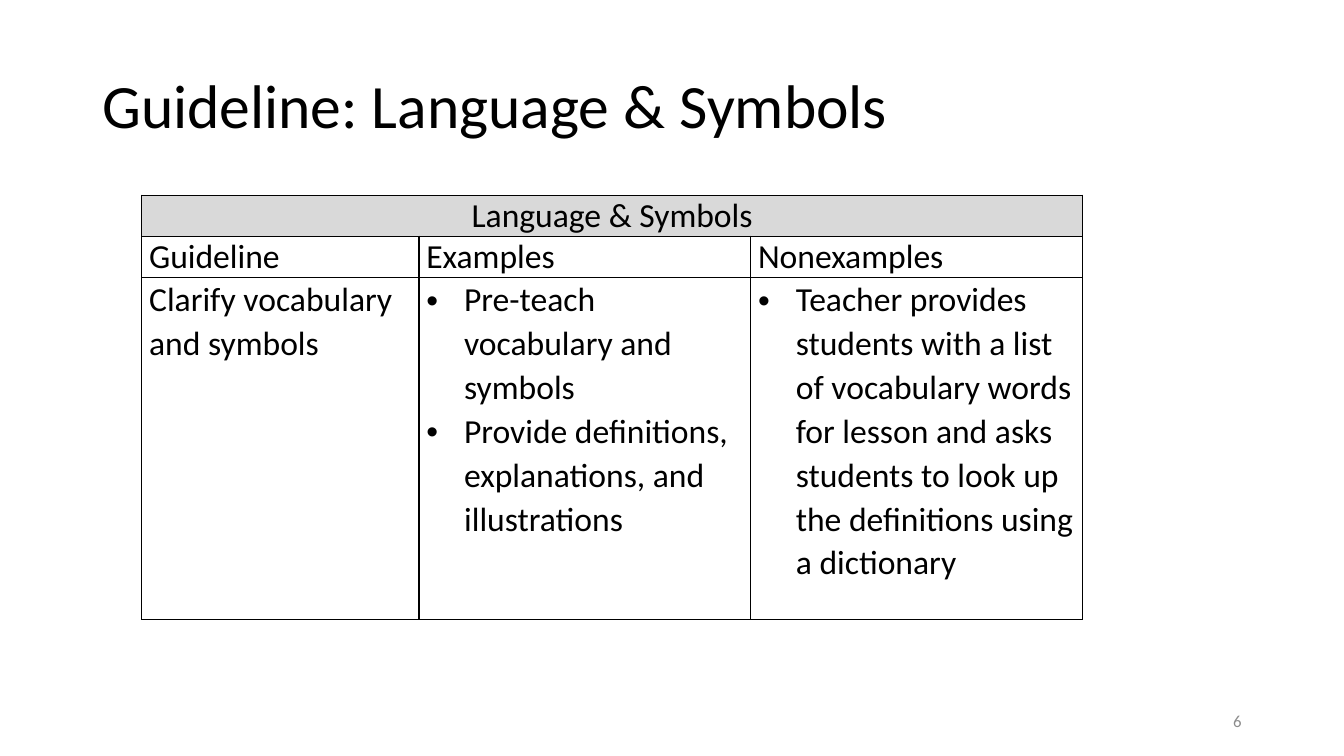
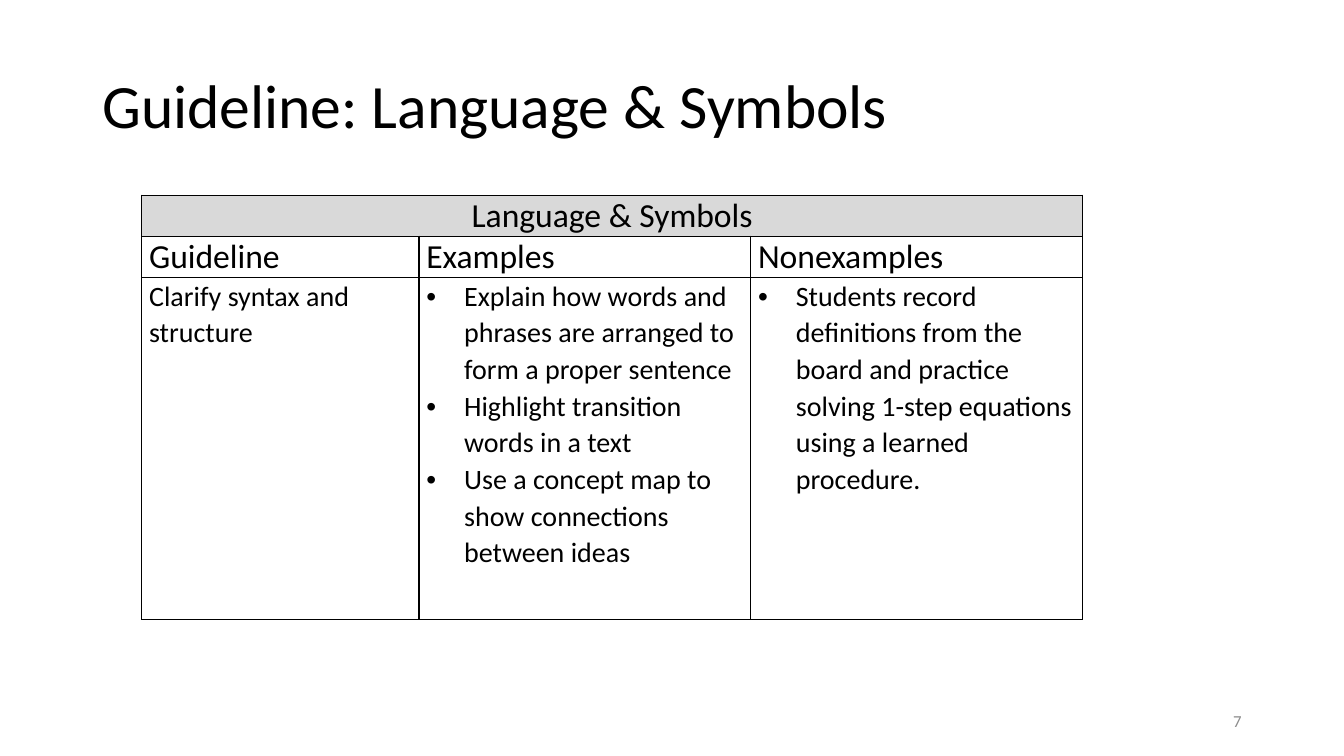
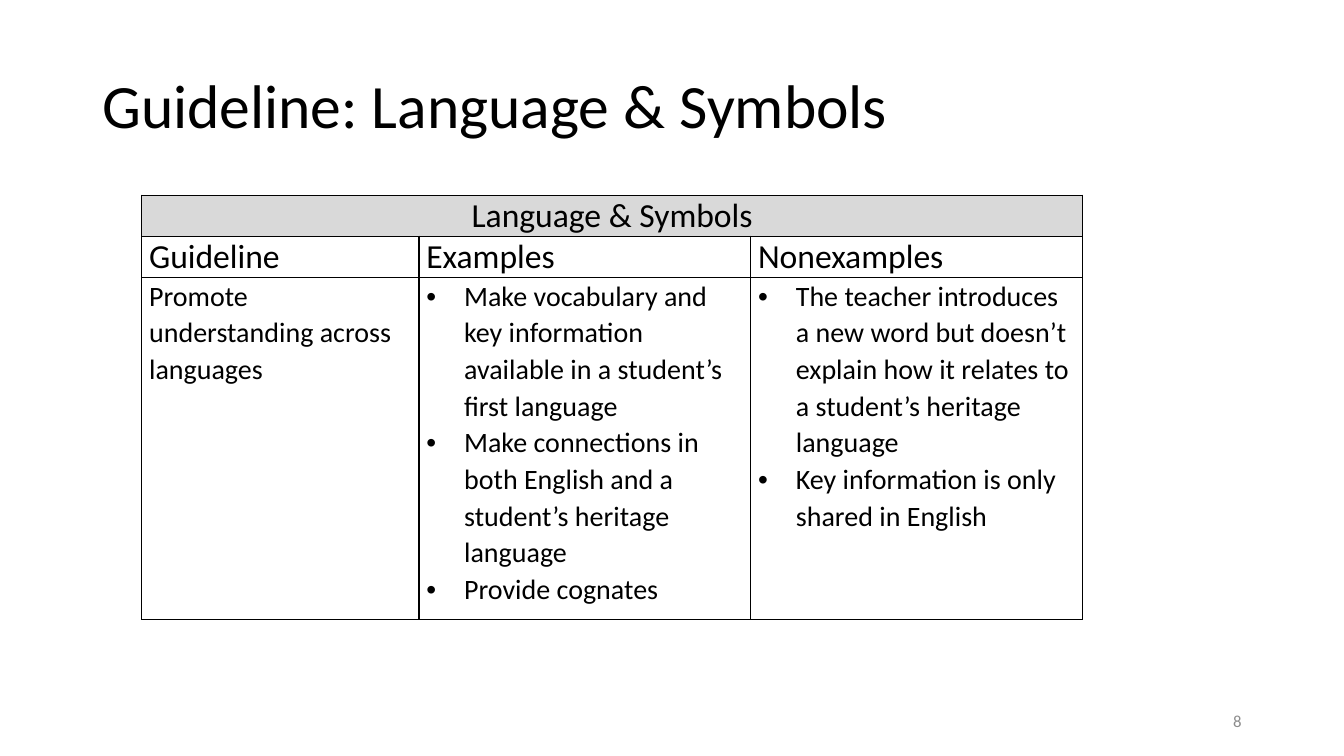
import pptx
import pptx.util
import pptx.dml.color
import pptx.enum.text
import pptx.oxml
import pptx.oxml.ns

PX = 9525
SLIDE_SIZE = (1280, 720)
FIRST_NUMBER = 6
TITLE = "Guideline: Language & Symbols"
BAND = "Language & Symbols"
HEADINGS = ["Guideline", "Examples", "Nonexamples"]

GUIDELINES = [
    {
        "size": "large",
        "guideline": "Clarify vocabulary and symbols",
        "examples": [
            "Pre-teach vocabulary and symbols",
            "Provide definitions, explanations, and illustrations",
        ],
        "nonexamples": [
            "Teacher provides students with a list of vocabulary words for lesson "
            "and asks students to look up the definitions using a dictionary",
        ],
    },
    {
        "size": "body",
        "guideline": "Clarify syntax and structure",
        "examples": [
            "Explain how words and phrases are arranged to form a proper sentence",
            "Highlight transition words in a text",
            "Use a concept map to show connections between ideas",
        ],
        "nonexamples": [
            "Students record definitions from the board and practice solving "
            "1-step equations using a learned procedure.",
        ],
    },
    {
        "size": "body",
        "guideline": "Promote understanding across languages",
        "examples": [
            "Make vocabulary and key information available in a student’s first language",
            "Make connections in both English and a student’s heritage language",
            "Provide cognates",
        ],
        "nonexamples": [
            "The teacher introduces a new word but doesn’t explain how it relates "
            "to a student’s heritage language",
            "Key information is only shared in English",
        ],
    },
]

THEME = {
    "font": "Calibri",
    "ink": "000000",
    "muted": "8C8C8C",
    "band": "D9D9D9",
    "sizes": {"title": 44, "large": 24, "body": 20, "number": 12},
    "border_pt": 1,
}

TITLE_BOX = (88, 34, 1104, 139)
NUMBER_BOX = (904, 667, 288, 38)
TABLE_ORIGIN = (135, 186)
COLUMNS = [264, 316, 316]
ROWS = [39, 39, 326]
CELL_INSET = 7
BULLET_INDENT = 36

ALIGN = pptx.enum.text.PP_ALIGN
ANCHOR = pptx.enum.text.MSO_ANCHOR


def px(length):
    return pptx.util.Emu(length * PX)


def rgb(name):
    return pptx.dml.color.RGBColor.from_string(THEME[name])


def apply(target, values):
    for name, value in values.items():
        setattr(target, name, value)


def add_bullet(paragraph):
    properties = paragraph._p.get_or_add_pPr()
    properties.set("marL", str(px(BULLET_INDENT)))
    properties.set("indent", str(-px(BULLET_INDENT)))
    properties.append(pptx.oxml.parse_xml(
        f'<a:buFont {pptx.oxml.ns.nsdecls("a")} typeface="Arial"/>'))
    properties.append(pptx.oxml.parse_xml(
        f'<a:buChar {pptx.oxml.ns.nsdecls("a")} char="•"/>'))


def write(frame, lines, size, color="ink", bullets=False, **layout):
    for index, line in enumerate(lines):
        paragraph = frame.add_paragraph() if index else frame.paragraphs[0]
        apply(paragraph, layout)
        if bullets:
            add_bullet(paragraph)
        run = paragraph.add_run()
        run.text = line
        apply(run.font, {
            "name": THEME["font"],
            "size": pptx.util.Pt(THEME["sizes"][size]),
        })
        run.font.color.rgb = rgb(color)


def add_text(slide, box, text, size, **options):
    frame = slide.shapes.add_textbox(*map(px, box)).text_frame
    apply(frame, {"word_wrap": True, "vertical_anchor": ANCHOR.MIDDLE})
    write(frame, [text], size, **options)


def add_borders(cell):
    properties = cell._tc.get_or_add_tcPr()
    for side in ("lnL", "lnR", "lnT", "lnB"):
        properties.append(pptx.oxml.parse_xml(
            f'<a:{side} {pptx.oxml.ns.nsdecls("a")} '
            f'w="{pptx.util.Pt(THEME["border_pt"])}"><a:solidFill>'
            f'<a:srgbClr val="{THEME["ink"]}"/></a:solidFill></a:{side}>'))


def add_guideline_table(slide, entry):
    box = (*TABLE_ORIGIN, sum(COLUMNS), sum(ROWS))
    table = slide.shapes.add_table(len(ROWS), len(COLUMNS), *map(px, box)).table
    apply(table, {"first_row": False, "horz_banding": False})
    for column, width in zip(table.columns, COLUMNS):
        column.width = px(width)
    for row, height in zip(table.rows, ROWS):
        row.height = px(height)
    for cell in table.iter_cells():
        apply(cell, {
            "margin_left": px(CELL_INSET),
            "margin_right": px(CELL_INSET),
            "margin_top": 0,
            "margin_bottom": 0,
        })
        add_borders(cell)
        cell.fill.background()

    band = table.cell(0, 0)
    band.merge(table.cell(0, len(COLUMNS) - 1))
    band.fill.solid()
    band.fill.fore_color.rgb = rgb("band")
    write(band.text_frame, [BAND], "large", alignment=ALIGN.CENTER)

    details = [[entry["guideline"]], entry["examples"], entry["nonexamples"]]
    for index, (heading, lines) in enumerate(zip(HEADINGS, details)):
        write(table.cell(1, index).text_frame, [heading], "large")
        write(table.cell(2, index).text_frame, lines, entry["size"],
              bullets=index > 0, line_spacing=1.07)


def main():
    deck = pptx.Presentation()
    deck.slide_width, deck.slide_height = map(px, SLIDE_SIZE)
    for number, entry in enumerate(GUIDELINES, FIRST_NUMBER):
        slide = deck.slides.add_slide(deck.slide_layouts[6])
        add_text(slide, TITLE_BOX, TITLE, "title", line_spacing=0.9)
        add_guideline_table(slide, entry)
        add_text(slide, NUMBER_BOX, str(number), "number", color="muted",
                 alignment=ALIGN.RIGHT)
    deck.save("out.pptx")


if __name__ == "__main__":
    main()
